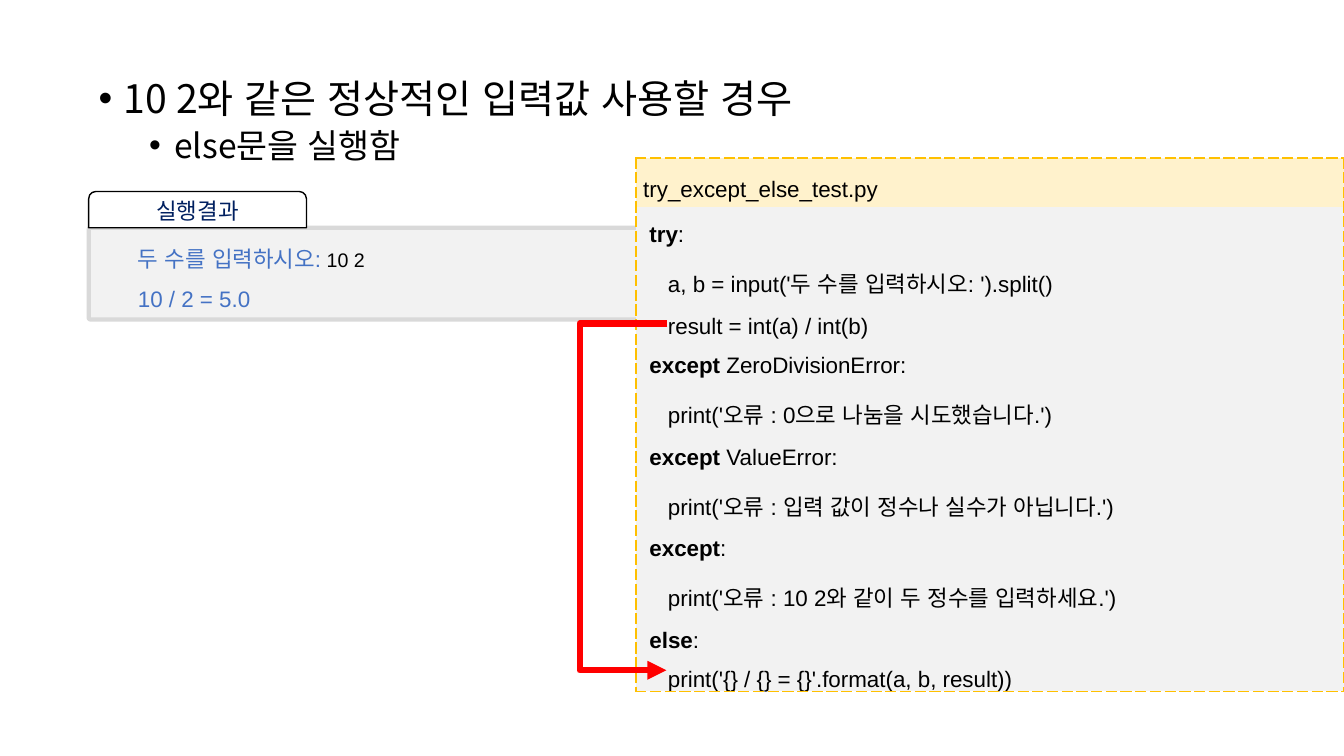
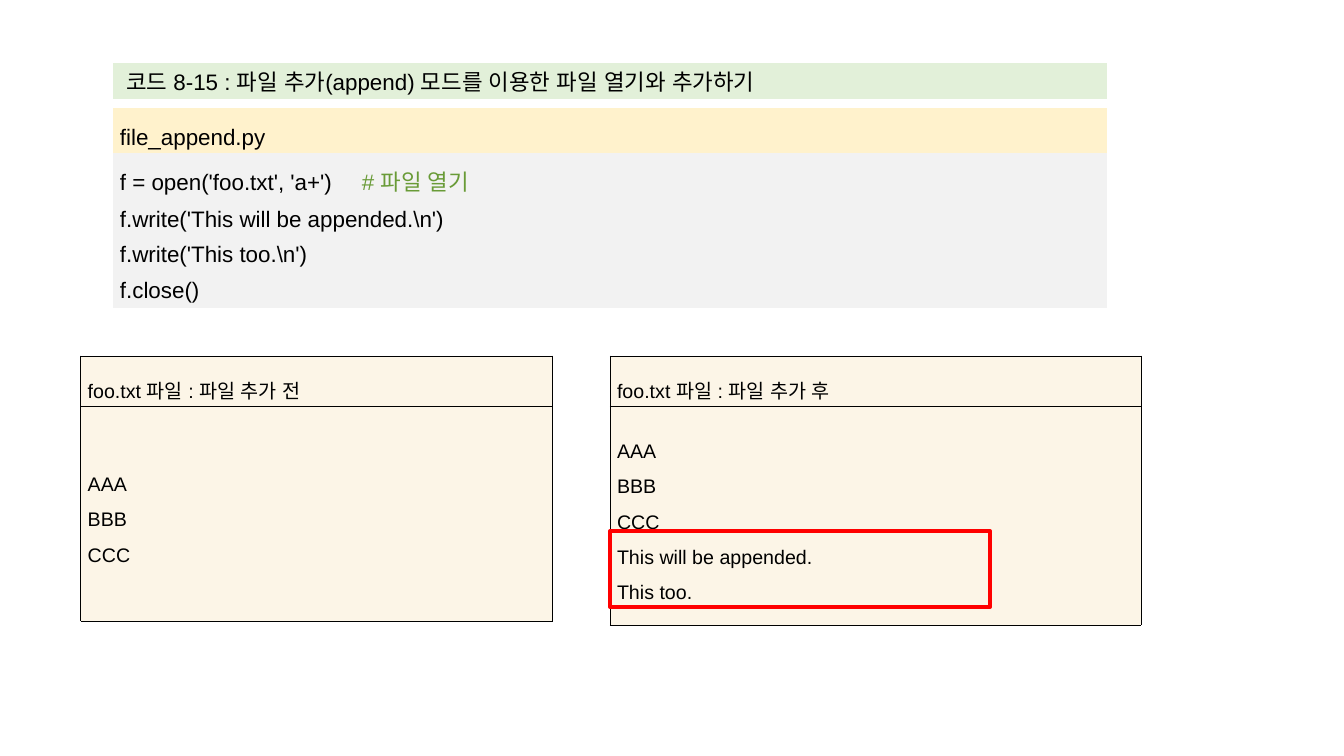
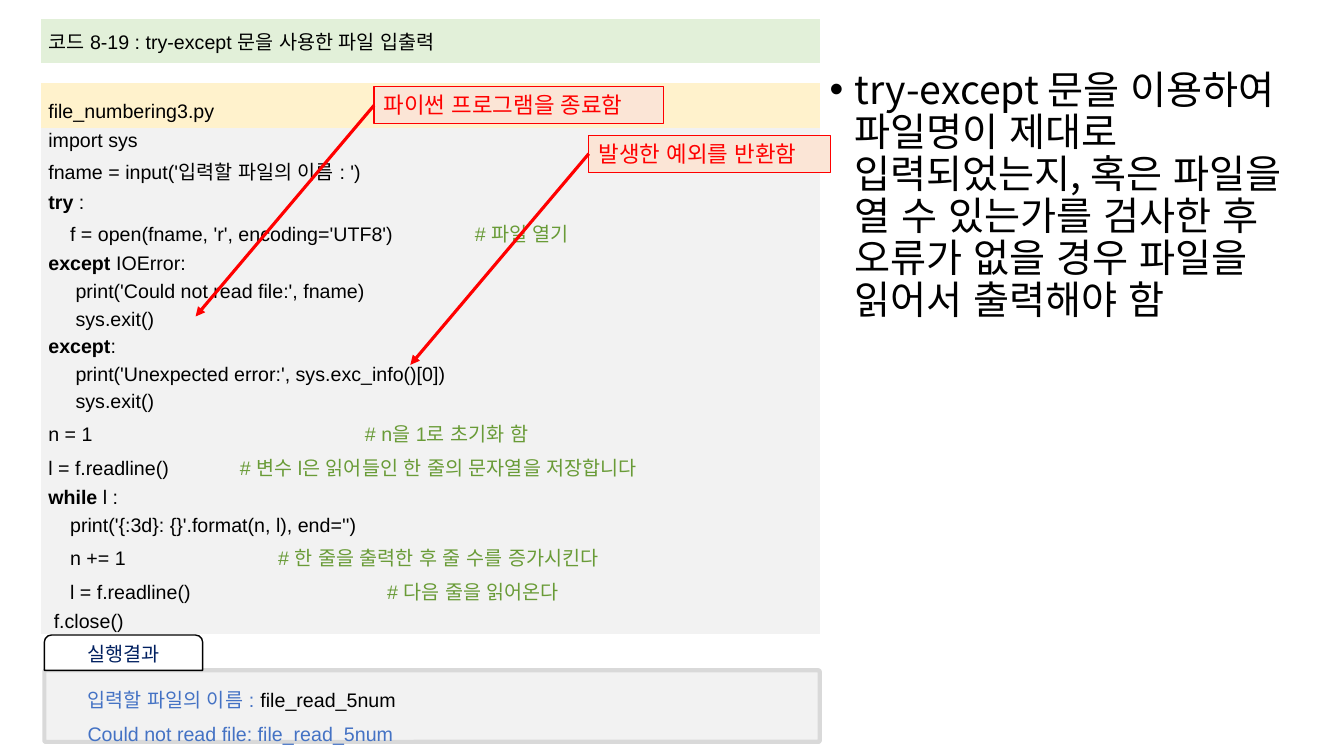
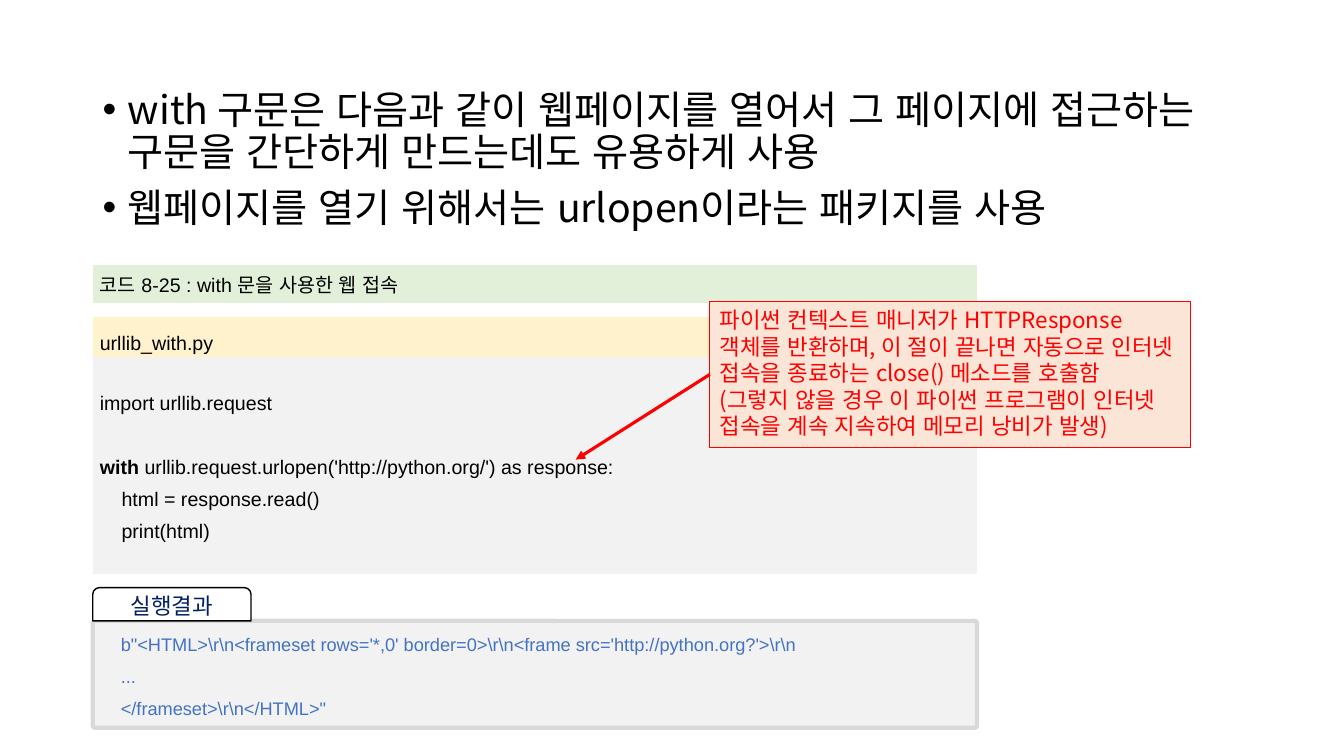
from typing import NamedTuple, Optional, Union

from lxml import etree
from pptx import Presentation
from pptx.dml.color import RGBColor
from pptx.enum.lang import MSO_LANGUAGE_ID
from pptx.enum.shapes import MSO_CONNECTOR, MSO_SHAPE
from pptx.enum.text import MSO_ANCHOR, PP_ALIGN
from pptx.oxml.ns import qn
from pptx.util import Emu, Pt

PX = 9144  # one hundredth of an inch
RECT, ROUNDED = MSO_SHAPE.RECTANGLE, MSO_SHAPE.ROUNDED_RECTANGLE
TAB_SHAPE, STRAIGHT = MSO_SHAPE.ROUND_2_SAME_RECTANGLE, MSO_CONNECTOR.STRAIGHT
LEFT, CENTER, JUSTIFY = PP_ALIGN.LEFT, PP_ALIGN.CENTER, PP_ALIGN.JUSTIFY
TOP, MIDDLE = MSO_ANCHOR.TOP, MSO_ANCHOR.MIDDLE
KOREAN = MSO_LANGUAGE_ID.KOREAN

ARIAL, NOTO = "Arial", "Noto Sans CJK KR"
BLACK, WHITE, RED, NAVY, BLUE = "000000", "FFFFFF", "FF0000", "002060", "4472C4"
COMMENT, GREEN, YELLOW, GRAY = "699B37", "E2F0D9", "FFF2CC", "F2F2F2"
CREAM, PEACH, EDGE, AMBER = "FCF5E7", "FBE5D6", "D9D9D9", "FFC000"
NO_GRID = "{2D5ABB26-0587-4C30-8999-92F81FD0307C}"


class Span(NamedTuple):
    text: str
    color: str = BLACK
    bold: bool = False
    size: int = 0


class Line(NamedTuple):
    spans: list[Span]
    tab: int = 0
    before: int = 0


class Style(NamedTuple):
    size: int
    font: str = ARIAL
    spacing: Union[float, Pt] = 1.0
    after: int = 0
    align: PP_ALIGN = JUSTIFY
    bullet_indent: int = 0


class Row(NamedTuple):
    height: int
    fill: str = ""
    style: Optional[Style] = None
    lines: tuple[Line, ...] = ()
    margin: int = 7


class Border(NamedTuple):
    color: str
    width: float
    dash: str
    inner: bool


class Box(NamedTuple):
    left: int
    top: int
    width: int
    height: int


BODY = Style(28, NOTO, Pt(30), align=LEFT, bullet_indent=25)
SUB_BODY = Style(24, NOTO, Pt(26), align=LEFT, bullet_indent=75)
CALLOUT = Style(16, NOTO, Pt(19), align=LEFT)
WIDE_16, WIDE_14 = Style(16, spacing=1.6), Style(14, spacing=1.6)
CODE_16 = Style(16, spacing=1.2, after=4)
CODE_14 = Style(14, spacing=1.2, after=4)
TIGHT_14 = Style(14, after=4)
CAPTION_16, CAPTION_14 = Style(16, align=LEFT), Style(14, align=LEFT)
DASHED = Border(AMBER, 1.5, "sysDash", False)
THIN = Border(BLACK, 0.28, "solid", True)


# Text

def rgb(color: str) -> RGBColor:
    return RGBColor.from_string(color)


def plain(text: str, color: str = BLACK, before: int = 0) -> Line:
    return Line([Span(text, color)], before=before)


def code(text: str, keyword: str = "", indent: str = "", note: str = "",
         tab: int = 0, before: int = 0) -> Line:
    """A line of code: indent, bold keyword, text, comment at a tab stop."""
    spans = [Span(indent), Span(keyword, bold=True), Span(text)]
    if note:
        spans.append(Span("\t" + note, COMMENT))
    return Line([span for span in spans if span.text], tab, before)


def write(frame, style: Style, lines, first: bool = True) -> None:
    frame.word_wrap = True
    for index, line in enumerate(lines):
        para = frame.paragraphs[0] if first and index == 0 else frame.add_paragraph()
        properties = para._p.get_or_add_pPr()
        if style.bullet_indent:
            properties.set("marL", str(style.bullet_indent * PX))
            properties.set("indent", str(-25 * PX))
            etree.SubElement(properties, qn("a:buFont"), typeface=ARIAL)
            etree.SubElement(properties, qn("a:buChar"), char="•")
        if line.tab:
            stops = etree.SubElement(properties, qn("a:tabLst"))
            etree.SubElement(stops, qn("a:tab"), pos=str(line.tab * PX), algn="l")
        para.alignment = style.align
        para.line_spacing = style.spacing
        para.space_after = Pt(style.after)
        para.space_before = Pt(line.before)
        for span in line.spans:
            run = para.add_run()
            run.text = span.text
            font = run.font
            font.size = Pt(span.size or style.size)
            font.bold = span.bold
            font.color.rgb = rgb(span.color)
            font.name = style.font
            font.language_id = KOREAN
            run._r.rPr.find(qn("a:latin")).addnext(
                etree.Element(qn("a:ea"), typeface=NOTO))


def add_text(page, box: Box, style: Style, lines):
    frame = page.shapes.add_textbox(*(Emu(v * PX) for v in box)).text_frame
    write(frame, style, lines)
    return frame


# Shapes and arrows

def add_panel(page, preset, box: Box, fill: str, line: str, width: float,
              radius: Optional[float] = None):
    shape = page.shapes.add_shape(preset, *(Emu(v * PX) for v in box))
    shape.shadow.inherit = False
    if radius is not None:
        shape.adjustments[0] = radius
    if fill:
        shape.fill.solid()
        shape.fill.fore_color.rgb = rgb(fill)
    else:
        shape.fill.background()
    shape.line.color.rgb = rgb(line)
    shape.line.width = Pt(width)
    return shape


def add_arrowhead(shape, width: float) -> None:
    shape.line.color.rgb = rgb(RED)
    shape.line.width = Pt(width)
    etree.SubElement(shape.line._get_or_add_ln(), qn("a:tailEnd"), type="triangle")


def add_callout(page, box: Box, target: tuple[int, int], lines) -> None:
    shape = add_panel(page, RECT, box, PEACH, RED, 0.75)
    shape.text_frame.vertical_anchor = TOP
    write(shape.text_frame, CALLOUT, lines)
    arrow = page.shapes.add_connector(
        STRAIGHT, Emu(box.left * PX), Emu((box.top + box.height // 2) * PX),
        Emu(target[0] * PX), Emu(target[1] * PX))
    arrow.begin_connect(shape, 1)
    add_arrowhead(arrow, 2.25)
    etree.SubElement(arrow._element.spPr, qn("a:effectLst"))


def add_path_arrow(page, points: list[tuple[int, int]]) -> None:
    builder = page.shapes.build_freeform(*points[0], scale=PX)
    builder.add_line_segments(points[1:], close=False)
    shape = builder.convert_to_shape()
    shape.shadow.inherit = False
    shape.fill.background()
    add_arrowhead(shape, 4.5)


def add_result(page, panel: Box, tab_width: int, tab_height: int, tab_size: int,
               text_box: Box, style: Style, lines) -> None:
    """The output panel with its label tab on top."""
    add_panel(page, ROUNDED, panel, GRAY, EDGE, 3, 0.02)
    label_box = Box(panel.left, panel.top - tab_height, tab_width, tab_height)
    label = add_panel(page, TAB_SHAPE, label_box, WHITE, BLACK, 1, 0.2)
    label.text_frame.vertical_anchor = MIDDLE
    write(label.text_frame, Style(tab_size, NOTO, align=CENTER),
          [plain("실행결과", NAVY)])
    add_text(page, text_box, style, lines)


# Tables

def add_borders(cell, border: Border, is_first: bool, is_last: bool) -> None:
    properties = cell._tc.get_or_add_tcPr()
    shown = {"lnL": True, "lnR": True, "lnT": is_first or border.inner,
             "lnB": is_last or border.inner}
    for index, side in enumerate(name for name in shown if shown[name]):
        edge = etree.Element(qn("a:" + side), w=str(Pt(border.width)))
        fill = etree.SubElement(edge, qn("a:solidFill"))
        etree.SubElement(fill, qn("a:srgbClr"), val=border.color)
        etree.SubElement(edge, qn("a:prstDash"), val=border.dash)
        properties.insert(index, edge)


def add_listing(page, left: int, top: int, width: int, rows: list[Row],
                border: Optional[Border] = None) -> None:
    height = sum(row.height for row in rows)
    table = page.shapes.add_table(
        len(rows), 1, *(Emu(v * PX) for v in (left, top, width, height))).table
    table.first_row = table.horz_banding = False
    table._tbl.tblPr.find(qn("a:tableStyleId")).text = NO_GRID
    for index, row in enumerate(rows):
        table.rows[index].height = Emu(row.height * PX)
        cell = table.cell(index, 0)
        cell.vertical_anchor = MIDDLE
        cell.margin_left, cell.margin_right = Emu(row.margin * PX), Emu(7 * PX)
        cell.margin_top = cell.margin_bottom = Emu(PX)
        if row.fill:
            cell.fill.solid()
            cell.fill.fore_color.rgb = rgb(row.fill)
        else:
            cell.fill.background()
        if row.style:
            write(cell.text_frame, row.style, row.lines)
        else:  # a gap row must not grow to the default text height
            etree.SubElement(cell.text_frame.paragraphs[0]._p,
                             qn("a:endParaRPr"), sz="100")
        if border:
            add_borders(cell, border, index == 0, index == len(rows) - 1)


# Slides

def build_else_page(page) -> None:
    frame = add_text(page, Box(88, 74, 1150, 108), BODY,
                     [plain("10 2와 같은 정상적인 입력값 사용할 경우")])
    write(frame, SUB_BODY, [plain("else문을 실행함", before=5)], first=False)
    add_result(page, Box(88, 226, 880, 91), 216, 36, 16, Box(127, 225, 803, 102),
               Style(16, spacing=1.5, align=LEFT),
               [Line([Span("두 수를 입력하시오:", BLUE), Span(" 10 2", size=14)]),
                plain("10 / 2 = 5.0", BLUE)])
    lines = (
        code(":", "try", " "),
        code("    a, b = input('두 수를 입력하시오: ').split()"),
        code("    result = int(a) / int(b)"),
        code("ZeroDivisionError:", "except ", " "),
        code("    print('오류 : 0으로 나눔을 시도했습니다.')"),
        code("ValueError:", "except ", " "),
        code("    print('오류 : 입력 값이 정수나 실수가 아닙니다.')"),
        code(":", "except", " "),
        code("    print('오류 : 10 2와 같이 두 정수를 입력하세요.')"),
        code(":", "else", " "),
        code("    print('{} / {} = {}'.format(a, b, result))"),
    )
    add_listing(page, 631, 157, 702,
                [Row(48, YELLOW, WIDE_16, (plain("try_except_else_test.py"),)),
                 Row(481, GRAY, WIDE_16, lines)], DASHED)
    add_path_arrow(page, [(662, 321), (575, 321), (575, 665), (661, 665)])


def build_append_page(page) -> None:
    before = ("AAA", "BBB", "CCC")
    after = before + ("This will be appended.", "This too.")
    for left, width, height, moment, words in (
            (80, 468, 213, "전", before), (605, 527, 217, "후", after)):
        add_listing(page, left, 353, width, [
            Row(50, CREAM, WIDE_14, (plain(f"foo.txt 파일 : 파일 추가 {moment}"),)),
            Row(height, CREAM, WIDE_14, tuple(plain(word) for word in words)),
        ], THIN)
    lines = (
        code("f = open('foo.txt', 'a+')", note="# 파일 열기", tab=240),
        code("f.write('This will be appended.\\n')"),
        code("f.write('This too.\\n')"),
        code("f.close()"),
    )
    title = "코드 8-15 : 파일 추가(append) 모드를 이용한 파일 열기와 추가하기"
    add_listing(page, 112, 62, 986, [
        Row(36, GREEN, CAPTION_16, (plain(title),), margin=13), Row(9),
        Row(43, YELLOW, WIDE_16, (plain("file_append.py"),)),
        Row(154, GRAY, CODE_16, lines)])
    add_panel(page, RECT, Box(605, 527, 377, 75), "", RED, 3)


def build_file_page(page) -> None:
    add_text(page, Box(813, 65, 495, 476), BODY, [plain(
        "try-except 문을 이용하여 파일명이 제대로 입력되었는지, 혹은 파일을 "
        "열 수 있는가를 검사한 후 오류가 없을 경우 파일을 읽어서 출력해야 함")])
    lines = (
        code("import sys"),
        code("fname = input('입력할 파일의 이름 : ')"),
        code(" :", "try"),
        code("    f = open(fname, 'r', encoding='UTF8')", note="# 파일 열기", tab=423),
        code("IOError:", "except "),
        code("     print('Could not read file:', fname)"),
        code("     sys.exit()"),
        code(":", "except"),
        code("     print('Unexpected error:', sys.exc_info()[0])"),
        code("     sys.exit()"),
        code("n = 1", note="# n을 1로 초기화 함", tab=314),
        code("l = f.readline()", tab=190,
             note="# 변수 l은 읽어들인 한 줄의 문자열을 저장합니다"),
        code(" l :", "while"),
        code("    print('{:3d}: {}'.format(n, l), end='')"),
        code("    n += 1", note="# 한 줄을 출력한 후 줄 수를 증가시킨다", tab=228),
        code("    l = f.readline()", note="# 다음 줄을 읽어온다", tab=336),
        code(" f.close()"),
    )
    title = "코드 8-19 : try-except 문을 사용한 파일 입출력"
    add_listing(page, 41, 19, 772, [
        Row(43, GREEN, CAPTION_14, (plain(title),)), Row(20),
        Row(45, YELLOW, WIDE_14, (plain("file_numbering3.py"),)),
        Row(502, GRAY, TIGHT_14, lines)])
    add_result(page, Box(44, 665, 769, 71), 157, 35, 14, Box(77, 669, 701, 74), CODE_14,
               [Line([Span("입력할 파일의 이름 :", BLUE), Span(" ", size=16),
                      Span("file_read_5num")]),
                plain("Could not read file: file_read_5num", BLUE)])
    add_callout(page, Box(371, 86, 287, 37), (194, 314),
                [plain("파이썬 프로그램을 종료함", RED)])
    add_callout(page, Box(584, 134, 240, 37), (407, 362),
                [plain("발생한 예외를 반환함", RED)])


def build_with_page(page) -> None:
    add_text(page, Box(92, 85, 1150, 476), BODY, [
        plain("with 구문은 다음과 같이 웹페이지를 열어서 그 페이지에 접근하는 "
              "구문을 간단하게 만드는데도 유용하게 사용"),
        plain("웹페이지를 열기 위해서는 urlopen이라는 패키지를 사용", before=10)])
    lines = (
        code("import urllib.request"),
        code("urllib.request.urlopen('http://python.org/') as response:", "with ",
             before=23),
        code("    html = response.read()"),
        code("    print(html)"),
    )
    title = "코드 8-25 : with 문을 사용한 웹 접속"
    add_listing(page, 92, 263, 877, [
        Row(38, GREEN, CAPTION_14, (plain(title),)), Row(14),
        Row(39, YELLOW, WIDE_14, (plain("urllib_with.py"),)),
        Row(215, GRAY, CODE_14, lines)])
    output = ("b\"<HTML>\\r\\n<frameset rows='*,0' border=0>\\r\\n"
              "<frame src='http://python.org?'>\\r\\n",
              "...", "</frameset>\\r\\n</HTML>\"")
    add_result(page, Box(92, 616, 877, 106), 157, 33, 16, Box(110, 619, 901, 98),
               CODE_14._replace(size=13), [plain(text, BLUE) for text in output])
    add_callout(page, Box(704, 299, 477, 145), (571, 456), [
        plain("파이썬 컨텍스트 매니저가 HTTPResponse 객체를 반환하며, "
              "이 절이 끝나면 자동으로 인터넷 접속을 종료하는 close() "
              "메소드를 호출함", RED),
        plain("(그렇지 않을 경우 이 파이썬 프로그램이 인터넷 접속을 계속 "
              "지속하여 메모리 낭비가 발생)", RED)])


def main() -> None:
    deck = Presentation()
    deck.slide_width, deck.slide_height = Emu(1333 * PX), Emu(750 * PX)
    for build in (build_else_page, build_append_page, build_file_page, build_with_page):
        build(deck.slides.add_slide(deck.slide_layouts[6]))
    deck.save("out.pptx")


if __name__ == "__main__":
    main()
